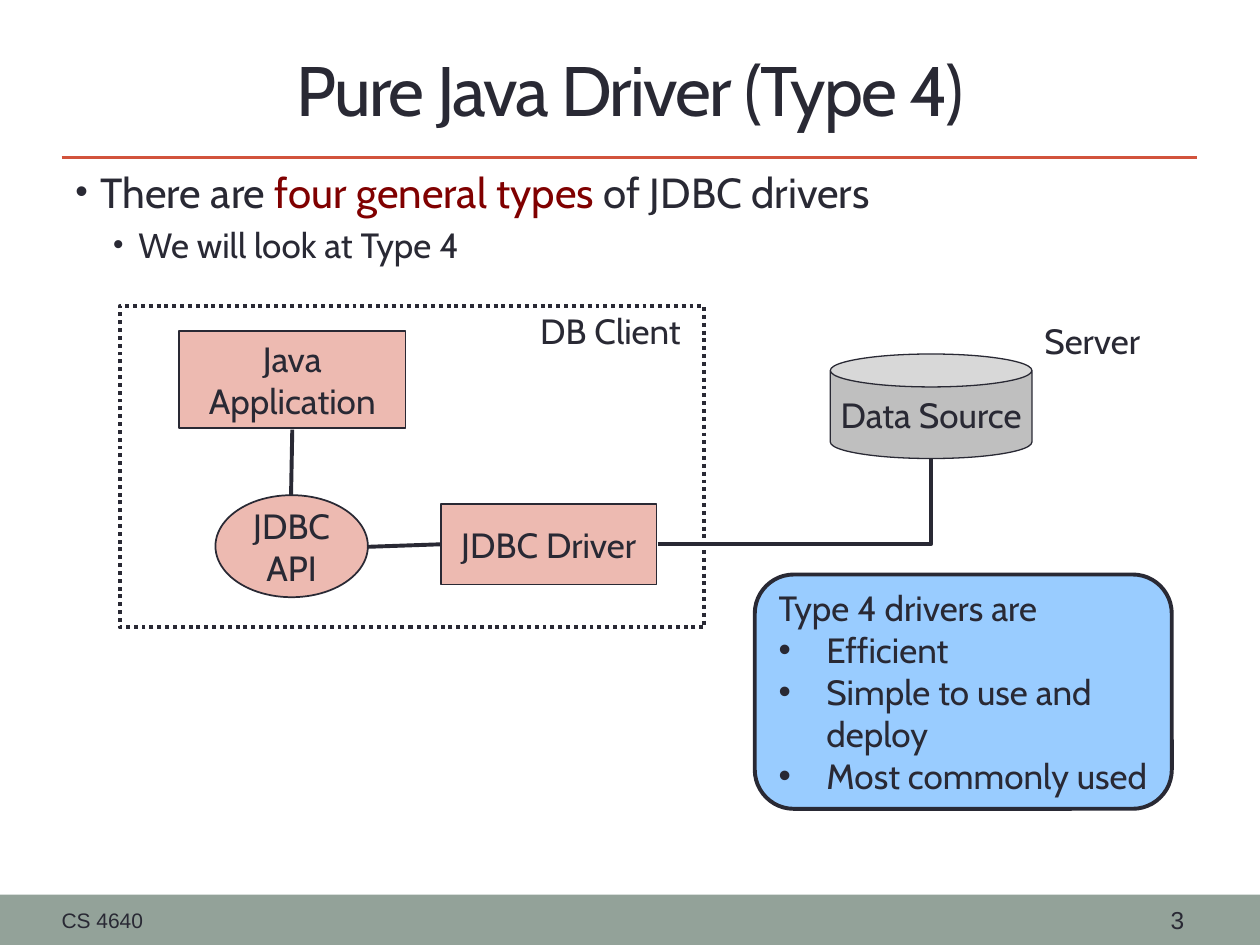
from lxml.etree import SubElement
from pptx import Presentation
from pptx.dml.color import RGBColor
from pptx.enum.dml import MSO_LINE
from pptx.enum.shapes import MSO_CONNECTOR, MSO_SHAPE
from pptx.enum.text import MSO_ANCHOR, PP_ALIGN
from pptx.oxml.ns import qn
from pptx.util import Inches, Pt

INK = RGBColor(0x29, 0x29, 0x34)
MAROON = RGBColor(0x80, 0x00, 0x00)
SAGE = RGBColor(0x93, 0xA2, 0x99)
RUST = RGBColor(0xD2, 0x53, 0x3C)
PINK = RGBColor(0xED, 0xBA, 0xB1)
GREY = RGBColor(0xBF, 0xBF, 0xBF)
BLUE = RGBColor(0x99, 0xCC, 0xFF)
WHITE = RGBColor(0xFF, 0xFF, 0xFF)
LEFT, CENTER = PP_ALIGN.LEFT, PP_ALIGN.CENTER
TOP, MIDDLE = MSO_ANCHOR.TOP, MSO_ANCHOR.MIDDLE

# Content: a paragraph is a list of (text, colour) runs
TITLE = "Pure Java Driver (Type 4)"
INTRO = [("There are", INK), (" four general types", MAROON),
         (" of JDBC drivers", INK)]
DETAIL = [("We will look at Type 4", INK)]
BENEFITS_HEAD = "Type 4 drivers are"
BENEFITS = ["Efficient", "Simple to use and deploy", "Most commonly used"]

# Preset, box, fill, lines of text, anchor, wrap, line width
NODES = [
    (MSO_SHAPE.RECTANGLE, (1.42, 2.63, 1.8, 0.77), PINK,
     ["Java", "Application"], TOP, True, 1),
    (MSO_SHAPE.OVAL, (1.71, 3.93, 1.21, 0.81), PINK,
     ["JDBC", "API"], MIDDLE, False, 1),
    (MSO_SHAPE.RECTANGLE, (3.5, 4, 1.71, 0.64), PINK,
     ["JDBC Driver"], MIDDLE, True, 1),
    (MSO_SHAPE.CAN, (6.59, 2.81, 1.6, 0.83), GREY,
     ["Data Source"], TOP, False, 0.75),
]
# Text, box, alignment, anchor, size, font
LABELS = [
    (TITLE, (0.5, 0.16, 9, 1.08), CENTER, MIDDLE, 40, "Cabin"),
    ("CS 4640", (0.39, 7.12, 3.17, 0.36), LEFT, MIDDLE, 12, "Arial"),
    ("3", (8.76, 7.12, 1.17, 0.36), CENTER, MIDDLE, 14, "Arial"),
    ("DB Client", (4.05, 2.41, 1.59, 0.44), CENTER, TOP, 20, "Cabin"),
    ("Server", (8.19, 2.49, 1.08, 0.44), LEFT, TOP, 20, "Cabin"),
]
LINKS = [((2.32, 3.41), (2.31, 3.93)), ((2.92, 4.34), (3.5, 4.32))]

prs = Presentation()
prs.slide_width, prs.slide_height = Inches(10), Inches(7.5)
slide = prs.slides.add_slide(prs.slide_layouts[6])
slide.background.fill.solid()
slide.background.fill.fore_color.rgb = WHITE


def add_block(preset, box, fill=None, line=None, width=1):
    block = slide.shapes.add_shape(preset, *map(Inches, box))
    block.shadow.inherit = False
    if fill is None:
        block.fill.background()
    else:
        block.fill.solid()
        block.fill.fore_color.rgb = fill
    if line is None:
        block.line.fill.background()
    else:
        block.line.color.rgb = line
        block.line.width = Pt(width)
    return block


def add_link(start, end, color=INK, width=2.25, kind=MSO_CONNECTOR.STRAIGHT):
    link = slide.shapes.add_connector(kind, *map(Inches, start + end))
    link.line.color.rgb = color
    link.line.width = Pt(width)
    SubElement(link._element.spPr, qn("a:effectLst"))
    return link


def add_text_frame(box, anchor=TOP):
    frame = slide.shapes.add_textbox(*map(Inches, box)).text_frame
    frame.word_wrap = True
    frame.vertical_anchor = anchor
    return frame


def write(frame, paragraphs, align=LEFT, size=20, font="Cabin"):
    for i, runs in enumerate(paragraphs):
        para = frame.paragraphs[0] if i == 0 else frame.add_paragraph()
        para.alignment = align
        for text, color in runs:
            run = para.add_run()
            run.text = text
            run.font.size = Pt(size)
            run.font.name = font
            run.font.color.rgb = color


def add_bullet(para, margin, hanging, percent=100):
    props = para._p.get_or_add_pPr()
    props.set("marL", str(Inches(margin)))
    props.set("indent", str(-Inches(hanging)))
    SubElement(props, qn("a:buSzPct"), val=str(percent * 1000))
    SubElement(props, qn("a:buFont"), typeface="Arial")
    SubElement(props, qn("a:buChar"), char="•")


# Footer band and rule under the title
add_block(MSO_SHAPE.RECTANGLE, (0, 7.1, 10, 0.4), SAGE)
add_link((0.49, 1.25), (9.5, 1.25), RUST, 1.5)

# Client boundary
client = add_block(MSO_SHAPE.RECTANGLE, (0.95, 2.43, 4.64, 2.55), None, INK, 2.25)
client.line.dash_style = MSO_LINE.ROUND_DOT

# Title, footer and diagram labels
for text, box, align, anchor, size, font in LABELS:
    frame = add_text_frame(box, anchor)
    write(frame, [[(text, INK)]], align, size, font)
    if text == TITLE:
        frame.paragraphs[0].runs[0].font._element.set("spc", "-100")

# Opening bullets
body = add_text_frame((0.5, 1.27, 9.18, 0.95))
write(body, [INTRO, DETAIL])
for para, size, margin in zip(body.paragraphs, (24, 20), (0.2, 0.5)):
    para.space_before = Pt(size * 0.2)
    add_bullet(para, margin, 0.2, 85)
    for run in para.runs:
        run.font.size = Pt(size)
body.paragraphs[1].level = 1

# Diagram nodes
for preset, box, fill, lines, anchor, wrap, width in NODES:
    node = add_block(preset, box, fill, INK, width)
    if preset == MSO_SHAPE.CAN:
        node.adjustments[0] = 0.315
    node.text_frame.word_wrap = wrap
    node.text_frame.vertical_anchor = anchor
    write(node.text_frame, [[(line, INK)] for line in lines], CENTER)

# Connections, the last one with a single corner below the data source
for start, end in LINKS:
    add_link(start, end)
elbow = add_link((5.22, 4.32), (7.39, 3.64), width=2.08, kind=MSO_CONNECTOR.ELBOW)
elbow._element.spPr.find(qn("a:prstGeom")).set("prst", "bentConnector2")

# Benefits callout
callout = add_block(MSO_SHAPE.ROUNDED_RECTANGLE, (5.99, 4.56, 3.31, 1.86),
                    BLUE, INK, 2.25)
callout.text_frame.word_wrap = True
callout.text_frame.vertical_anchor = MIDDLE
write(callout.text_frame, [[(line, INK)] for line in [BENEFITS_HEAD] + BENEFITS])
for para in callout.text_frame.paragraphs[1:]:
    add_bullet(para, 0.38, 0.38)

prs.save("out.pptx")
